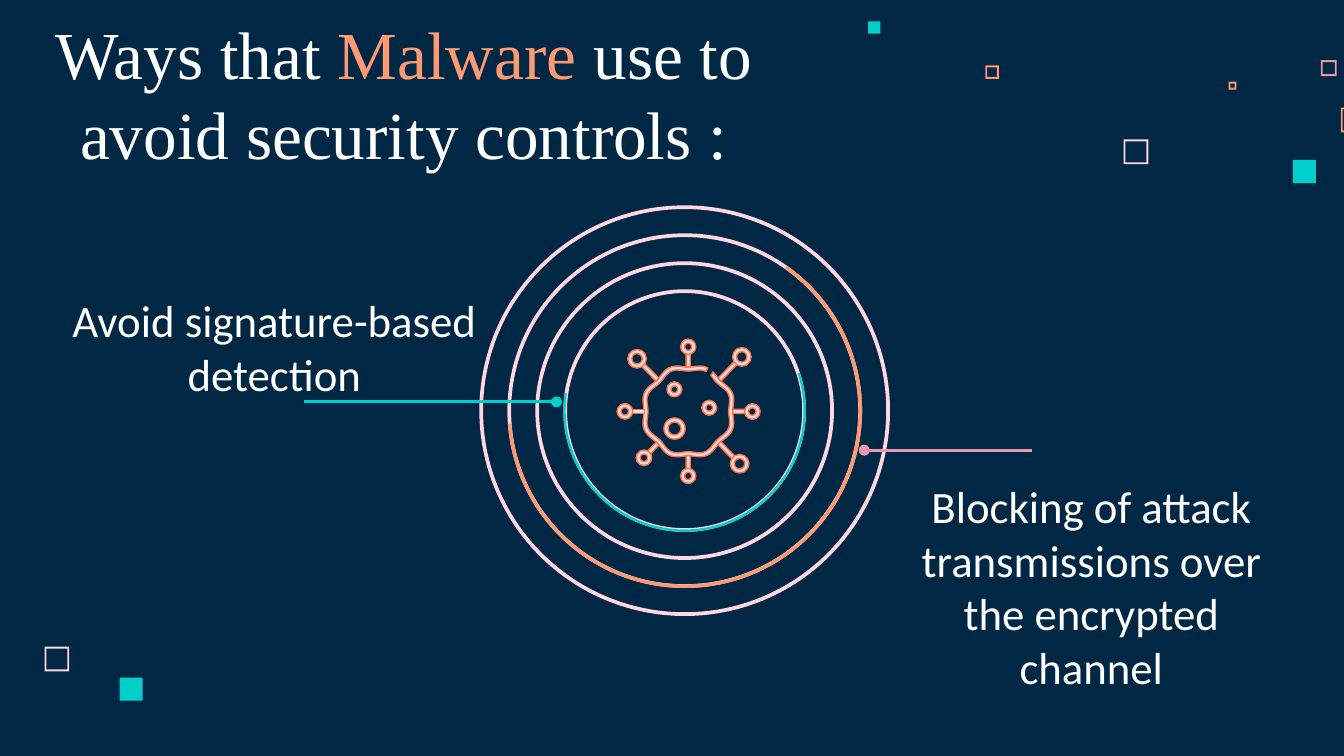
import math

import pptx
import pptx.dml.color
import pptx.enum.shapes
import pptx.enum.text
import pptx.oxml
import pptx.oxml.ns
import pptx.util

Pt = pptx.util.Pt
SHAPE = pptx.enum.shapes.MSO_SHAPE
ANCHOR = pptx.enum.text.MSO_ANCHOR

NAVY, WHITE = "002845", "FFFFFF"
TEAL, ORANGE, BLUSH, ROSE = "00CFCC", "FF9973", "FFD6E1", "E898AC"
EDGE = "FC723F"

SOLID_SQUARES = [(692.6, 85.7, 12.4), (465.1, 11.5, 6.5), (64.1, 363, 12.4)]
HOLLOW_SQUARES = [
    (601.9, 74.7, 13.3, BLUSH),
    (707.6, 32.3, 8.5, ROSE),
    (658.2, 43.8, 4.2, ORANGE),
    (718.3, 57.6, 13.3, ORANGE),
    (527.9, 35.1, 7.2, ORANGE),
    (23.9, 346.5, 13.2, BLUSH),
]

RING_CENTER = (366.8, 220)
RING_SIZES = [220, 190, 160, 130]
RING_WIDTH = 2

VIRUS_CENTER = (368.8, 220.4)
BODY_RADIUS = 24.7
BAND = 2.2
KNOBS = [
    (368.7, 185.8, 8.2),
    (397.4, 191.2, 10),
    (341.3, 192.2, 10),
    (334.8, 220.4, 8.4),
    (403.1, 220.5, 8.4),
    (345, 245.3, 8.4),
    (368.7, 255, 8.2),
    (396.2, 248.4, 10),
]
SPOTS = [(361.3, 208.6, 8), (380, 218.5, 8), (361.4, 229.6, 11.4)]


def color(hex_text):
    return pptx.dml.color.RGBColor.from_string(hex_text)


def paint(shape, fill, edge=None):
    shape.shadow.inherit = False
    shape.fill.solid()
    shape.fill.fore_color.rgb = color(fill)
    if edge:
        shape.line.color.rgb = color(edge)
        shape.line.width = Pt(0.75)
    else:
        shape.line.fill.background()


def add_preset(shapes, kind, left, top, size, fill, adjustments=(), edge=None):
    shape = shapes.add_shape(kind, Pt(left), Pt(top), Pt(size), Pt(size))
    for index, value in enumerate(adjustments):
        shape.adjustments[index] = value
    paint(shape, fill, edge)
    return shape


def add_centered(shapes, kind, center, size, fill, adjustments, edge=None):
    left, top = center[0] - size / 2, center[1] - size / 2
    return add_preset(shapes, kind, left, top, size, fill, adjustments, edge)


def add_outline(shapes, points):
    corners = [(Pt(x), Pt(y)) for x, y in points]
    builder = shapes.build_freeform(*corners[0], scale=1)
    builder.add_line_segments(corners[1:], close=True)
    paint(builder.convert_to_shape(), BLUSH, EDGE)


def add_pointer(page, start, end, hex_text):
    straight = pptx.enum.shapes.MSO_CONNECTOR.STRAIGHT
    pointer = page.shapes.add_connector(straight, *map(Pt, start + end))
    pointer.line.color.rgb = color(hex_text)
    pointer.line.width = Pt(1.5)
    tail = pptx.oxml.parse_xml(
        '<a:tailEnd %s type="oval"/>' % pptx.oxml.ns.nsdecls("a"))
    pointer.line._get_or_add_ln().append(tail)
    effects = pptx.oxml.parse_xml(
        "<a:effectLst %s/>" % pptx.oxml.ns.nsdecls("a"))
    pointer._element.spPr.append(effects)


def write_text(box, bounds, spans, font, size, anchor=ANCHOR.TOP):
    box.left, box.top, box.width, box.height = map(Pt, bounds)
    frame = box.text_frame
    frame.word_wrap = True
    frame.auto_size = pptx.enum.text.MSO_AUTO_SIZE.NONE
    frame.vertical_anchor = anchor
    frame.margin_left = frame.margin_right = Pt(7.2)
    frame.margin_top = frame.margin_bottom = Pt(7.2)
    para = frame.paragraphs[0]
    para.alignment = pptx.enum.text.PP_ALIGN.CENTER
    para.space_before = Pt(0)
    for text, hex_text in spans:
        span = para.add_run()
        span.text = text
        span.font.name = font
        span.font.size = Pt(size)
        span.font.color.rgb = color(hex_text)
    return para


def add_squares(page):
    for left, top, size in SOLID_SQUARES:
        add_preset(page.shapes, SHAPE.RECTANGLE, left, top, size, TEAL)
    for left, top, size, fill in HOLLOW_SQUARES:
        add_preset(page.shapes, SHAPE.FRAME, left, top, size, fill, [1 / size])


def add_rings(page):
    shapes = page.shapes.add_group_shape().shapes
    for size in RING_SIZES:
        add_centered(shapes, SHAPE.DONUT, RING_CENTER, size, BLUSH,
                     [RING_WIDTH / size])
    add_centered(shapes, SHAPE.BLOCK_ARC, RING_CENTER, 190, ORANGE,
                 [183.14, 105.39, 0.01])
    teal_arc = add_centered(shapes, SHAPE.BLOCK_ARC, RING_CENTER, 130, TEAL,
                            [197.21, 105.1, 0.01])
    teal_arc.rotation = 13.1


def body_edge(inset):
    points = []
    for degrees in range(-58, 295, 4):
        angle = math.radians(degrees)
        radius = BODY_RADIUS - 0.9 * math.cos(8 * angle) - inset
        points.append((VIRUS_CENTER[0] + radius * math.cos(angle),
                       VIRUS_CENTER[1] + radius * math.sin(angle)))
    return points


def spoke_corners(x, y, size):
    center_x, center_y = VIRUS_CENTER
    distance = math.hypot(x - center_x, y - center_y)
    along_x, along_y = (x - center_x) / distance, (y - center_y) / distance
    near, far, half = BODY_RADIUS - 1, distance - size / 2 + 0.5, BAND / 2
    corners = [(near, -half), (far, -half), (far, half), (near, half)]
    return [(center_x + reach * along_x - side * along_y,
             center_y + reach * along_y + side * along_x)
            for reach, side in corners]


def add_virus(page):
    shapes = page.shapes.add_group_shape().shapes
    add_outline(shapes, body_edge(0) + body_edge(BAND)[::-1])
    for knob in KNOBS:
        add_outline(shapes, spoke_corners(*knob))
    for x, y, size in KNOBS + SPOTS:
        add_centered(shapes, SHAPE.DONUT, (x, y), size, BLUSH,
                     [BAND / size], EDGE)


def main():
    deck = pptx.Presentation()
    deck.slide_width, deck.slide_height = Pt(720), Pt(405)
    page = deck.slides.add_slide(deck.slide_layouts[0])
    page.background.fill.solid()
    page.background.fill.fore_color.rgb = color(NAVY)

    add_squares(page)
    write_text(page.shapes.title, (9.4, 17.3, 414, 82.8),
               [("Ways that ", WHITE), ("Malware", ORANGE),
                (" use to avoid security controls :", WHITE)],
               "Times New Roman", 36, ANCHOR.BOTTOM)
    label = page.shapes.add_textbox(0, 0, 0, 0)
    write_text(label, (31, 149.8, 231.8, 63.4),
               [("Avoid signature-based detection", WHITE)], "Calibri", 24)
    para = write_text(
        page.placeholders[1], (477.4, 249.1, 205.9, 127.4),
        [("Blocking of attack transmissions over the encrypted channel",
          WHITE)], "Calibri", 24)
    para._p.get_or_add_pPr().set("marL", str(Pt(8.6)))

    add_rings(page)
    add_pointer(page, (162.7, 215.3), (298.1, 215.3), TEAL)
    add_pointer(page, (553, 241.2), (463, 241.2), ROSE)
    add_virus(page)
    deck.save("out.pptx")


if __name__ == "__main__":
    main()
